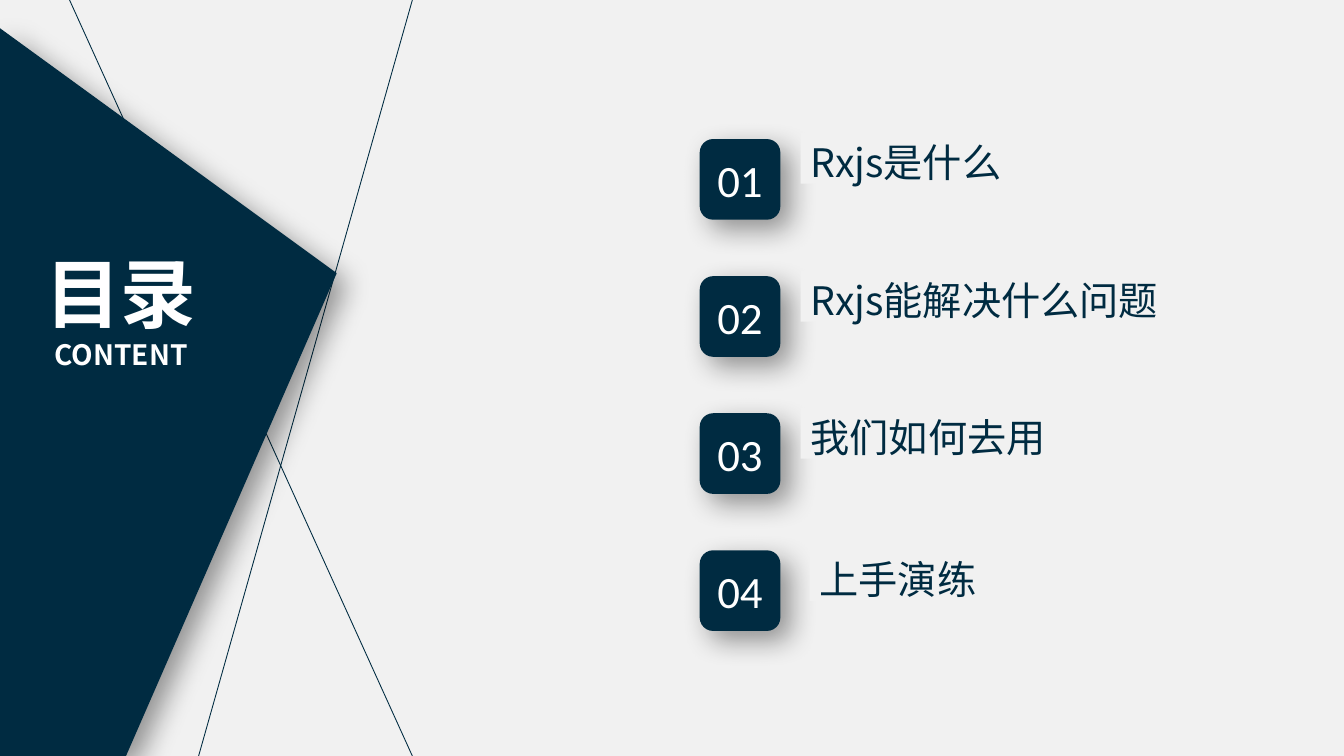
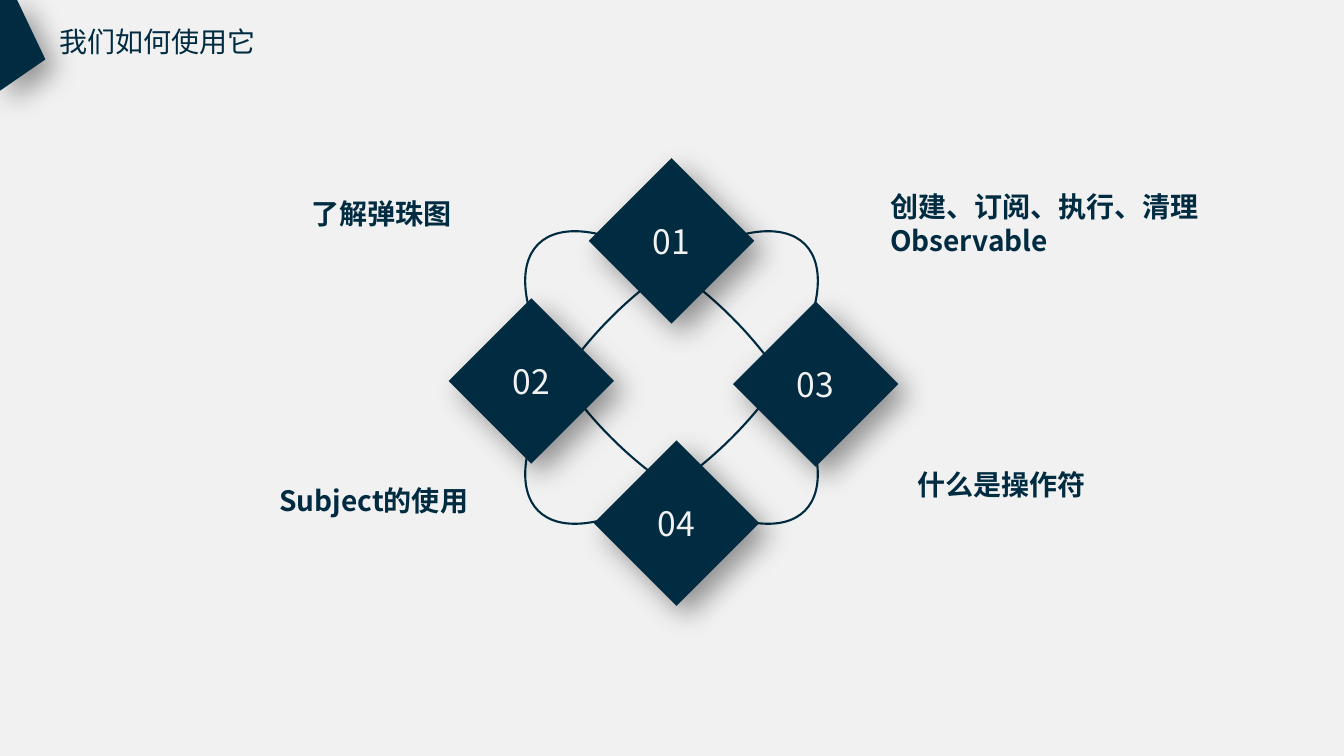
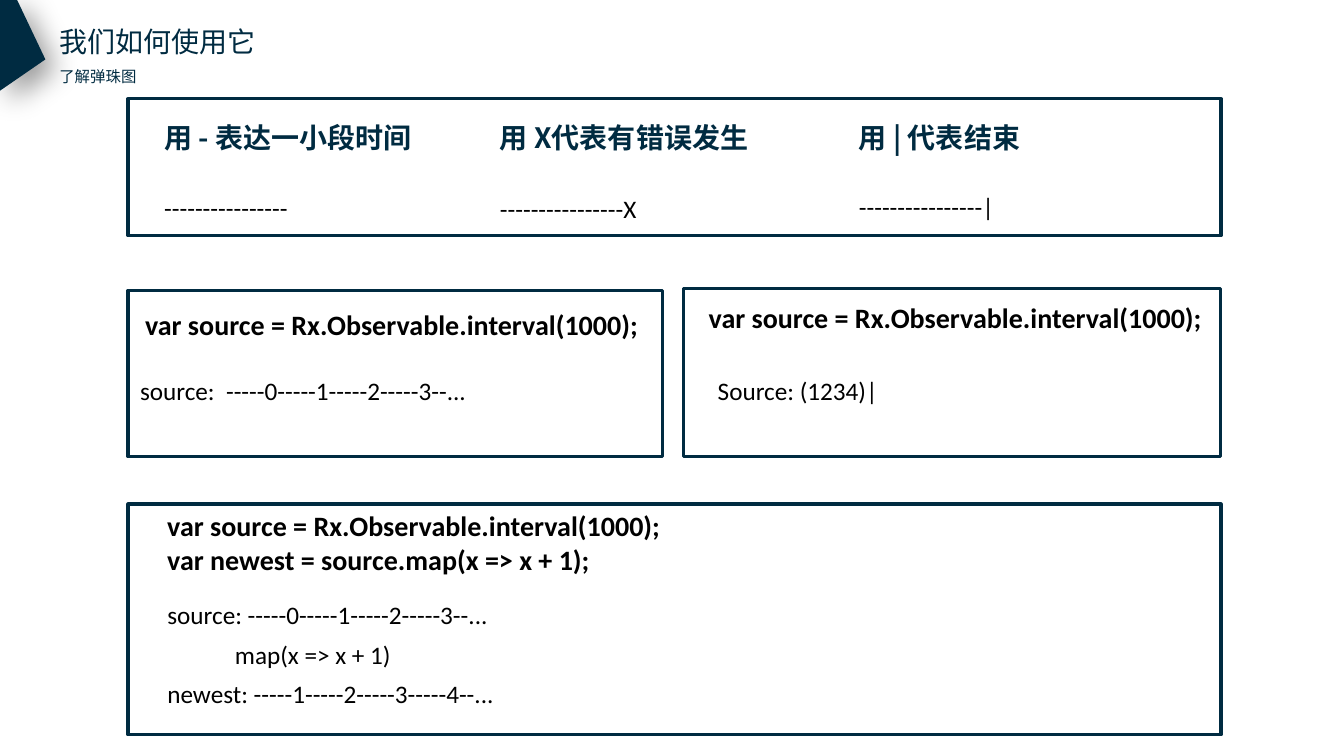
"""Build three slides of a talk on Rxjs: agenda, topic wheel and marble diagrams."""
import dataclasses
import typing

import lxml.etree
import pptx
import pptx.dml.color
import pptx.enum.shapes
import pptx.enum.text
import pptx.oxml.ns
import pptx.util

Inches = pptx.util.Inches
Kind = pptx.enum.shapes.MSO_SHAPE
Align = pptx.enum.text.PP_ALIGN
Anchor = pptx.enum.text.MSO_ANCHOR
Fit = pptx.enum.text.MSO_AUTO_SIZE
qn = pptx.oxml.ns.qn

NAVY, PALE, WHITE, BLACK = "002B41", "F1F1F1", "FFFFFF", "000000"
HAN, LATIN = "Noto Sans CJK SC", "Calibri"
AGENDA, TRACE = 4, 1


@dataclasses.dataclass(frozen=True)
class Style:
    """Look of a piece of text."""
    size: float
    font: str = HAN
    color: str = NAVY
    bold: bool = False
    align: Align = Align.LEFT
    lead: float = 1.0
    anchor: Anchor = Anchor.TOP


@dataclasses.dataclass(frozen=True)
class Box:
    """Place of a shape in inches."""
    left: float
    top: float
    width: float
    height: float

    def size(self) -> tuple:
        """Return the four lengths."""
        return tuple(Inches(v) for v in dataclasses.astuple(self))


@dataclasses.dataclass(frozen=True)
class Label:
    """A text with its place and look."""
    text: str
    box: Box
    style: Style


HEAD = Style(20)
COVER = Style(54, color=WHITE, bold=True, align=Align.CENTER)
ITEM = Style(28)
BADGE = Style(32, LATIN, WHITE, align=Align.CENTER, anchor=Anchor.MIDDLE)
GEM = Style(24, color="F2F2F2", align=Align.CENTER, anchor=Anchor.MIDDLE)
TOPIC = Style(20, bold=True)
RIGHT = dataclasses.replace(TOPIC, align=Align.RIGHT)
NOTE = Style(11, lead=1.3)
CODE = Style(20, LATIN, BLACK, bold=True)
MARBLE = Style(18, LATIN, BLACK, lead=1.3)


def tint(color: str) -> pptx.dml.color.RGBColor:
    """Turn a hex string into a colour."""
    return pptx.dml.color.RGBColor.from_string(color)


def write(shape: typing.Any, text: str, style: Style) -> None:
    """Put styled text into a shape."""
    frame = shape.text_frame
    frame.text = text
    frame.word_wrap = True
    frame.vertical_anchor = style.anchor
    for par in frame.paragraphs:
        par.alignment = style.align
        par.line_spacing = style.lead
        par.space_before = par.space_after = pptx.util.Pt(0)
        props = par._p.get_or_add_pPr()
        props.set("marL", "0")
        props.set("indent", "0")
        lxml.etree.SubElement(props, qn("a:buNone"))
        for run in par.runs:
            run.font.size = pptx.util.Pt(style.size)
            run.font.bold = style.bold
            run.font.color.rgb = tint(style.color)
            run.font.name = style.font
            east = lxml.etree.Element(qn("a:ea"), typeface=style.font)
            run._r.rPr.find(qn("a:latin")).addnext(east)


def place(holder: typing.Any, label: Label) -> typing.Any:
    """Move a placeholder to the front, set its place and fill in its text."""
    holder.element.getparent().append(holder.element)
    holder.left, holder.top, holder.width, holder.height = label.box.size()
    write(holder, label.text, label.style)
    holder.text_frame.auto_size = Fit.SHAPE_TO_FIT_TEXT
    return holder


def add_text(slide: typing.Any, label: Label) -> None:
    """Add a text box."""
    area = slide.shapes.add_textbox(*label.box.size())
    write(area, label.text, label.style)
    area.text_frame.auto_size = Fit.SHAPE_TO_FIT_TEXT


def shade(shape: typing.Any) -> None:
    """Paint a shape navy with a soft shadow and no line."""
    shape.fill.solid()
    shape.fill.fore_color.rgb = tint(NAVY)
    shape.line.fill.background()
    shape.shadow.inherit = False
    effects = shape.element.spPr.find(qn("a:effectLst"))
    outer = lxml.etree.SubElement(
        effects, qn("a:outerShdw"), blurRad=str(pptx.util.Pt(20)),
        dist=str(pptx.util.Pt(10)), dir=str(45 * 60000), algn="tl", rotWithShape="0")
    color = lxml.etree.SubElement(outer, qn("a:srgbClr"), val=BLACK)
    lxml.etree.SubElement(color, qn("a:alpha"), val="40000")


def add_solid(slide: typing.Any, kind: Kind, box: Box, text: str, style: Style) -> None:
    """Add a shaded shape with text."""
    shape = slide.shapes.add_shape(kind, *box.size())
    shade(shape)
    write(shape, text, style)


def add_frame(slide: typing.Any, kind: Kind, box: Box, width: float, turn: float = 0) -> None:
    """Add an outline without fill."""
    shape = slide.shapes.add_shape(kind, *box.size())
    shape.rotation = turn
    shape.fill.background()
    shape.line.color.rgb = tint(NAVY)
    shape.line.width = pptx.util.Pt(width)
    shape.shadow.inherit = False


def add_wedge(slide: typing.Any, *points: tuple[float, float]) -> None:
    """Add a shaded polygon."""
    first, *rest = [(Inches(x), Inches(y)) for x, y in points]
    pen = slide.shapes.build_freeform(*first)
    pen.add_line_segments(rest, close=True)
    shade(pen.convert_to_shape())


def add_line(slide: typing.Any, *ends: float) -> None:
    """Add a thin line."""
    line = slide.shapes.add_connector(
        pptx.enum.shapes.MSO_CONNECTOR.STRAIGHT, *(Inches(v) for v in ends))
    line.line.color.rgb = tint(NAVY)
    line.line.width = pptx.util.Pt(0.63)
    lxml.etree.SubElement(line.element.spPr, qn("a:effectLst"))


def add_head(slide: typing.Any) -> None:
    """Add the page title and the corner wedge."""
    title = place(slide.shapes.title, Label("我们如何使用它", Box(0.49, 0.19, 2.17, 0.44), HEAD))
    title.text_frame.word_wrap = False
    add_wedge(slide, (0.17, 0), (0, 0), (0, 0.9), (0.45, 0.59))


def draw_list(slide: typing.Any) -> None:
    """Draw the agenda."""
    add_line(slide, 4.09, 0, 1.97, 7.5)
    add_line(slide, 4.09, 7.5, 0.69, 0)
    add_wedge(slide, (1.25, 7.5), (0, 7.5), (0, 0.28), (3.34, 2.71))
    title = place(slide.shapes.title, Label("目录\nCONTENT", Box(0.24, 2.4, 1.92, 1.35), COVER))
    title.text_frame.paragraphs[1].runs[0].font.size = pptx.util.Pt(20)
    items = [
        Label("Rxjs是什么", Box(7.94, 1.32, 3.17, 0.57), ITEM),
        Label("Rxjs能解决什么问题", Box(7.94, 2.69, 3.83, 0.57), ITEM),
        Label("我们如何去用", Box(7.94, 4.05, 3.17, 0.57), ITEM),
        Label("上手演练", Box(8.03, 5.46, 3.17, 0.57), ITEM),
    ]
    for rank, item in enumerate(items, 1):
        top = 1.38 + 1.36 * (rank - 1)
        add_solid(slide, Kind.ROUNDED_RECTANGLE, Box(6.94, top, 0.8, 0.8), f"{rank:02}", BADGE)
        body = place(slide.placeholders[rank], item)
        body.fill.solid()
        body.fill.fore_color.rgb = tint(PALE)


def draw_wheel(slide: typing.Any) -> None:
    """Draw the four topics around two crossed rings."""
    add_head(slide)
    for turn in (45, 135):
        add_frame(slide, Kind.OVAL, Box(4.79, 2.9, 3.74, 1.69), 1.5, turn)
    gems = {"01": (5.84, 1.57), "03": (7.27, 2.99), "04": (5.89, 4.37), "02": (4.45, 2.96)}
    for text, (left, top) in gems.items():
        add_solid(slide, Kind.FLOWCHART_DECISION, Box(left, top, 1.64, 1.64), text, GEM)
    topics = [
        Label("了解弹珠图", Box(2.84, 1.9, 1.74, 0.44), RIGHT),
        Label("创建、订阅、执行、清理Observable", Box(8.73, 1.83, 3.33, 0.77), TOPIC),
        Label("Subject的使用", Box(2.67, 4.75, 2.47, 0.44), TOPIC),
        Label("什么是操作符", Box(9, 4.59, 2.16, 0.44), TOPIC),
    ]
    for rank, topic in enumerate(topics, 1):
        place(slide.placeholders[rank], topic)


def draw_code(slide: typing.Any) -> None:
    """Draw the marble diagrams."""
    add_head(slide)
    for box in (Box(1.27, 0.98, 10.84, 1.36), Box(1.27, 2.88, 5.3, 1.65),
                Box(6.78, 2.86, 5.33, 1.67), Box(1.27, 5, 10.84, 2.29)):
        add_frame(slide, Kind.RECTANGLE, box, 2.25)
    dashes = "-" * 16
    signs = [
        (1.53, 1.77, "用 - 表达一小段时间", dashes),
        (4.86, 1.78, "用 X代表有错误发生", dashes + "X"),
        (8.42, 1.76, "用 | 代表结束", dashes + "|"),
    ]
    for left, top, text, marks in signs:
        add_text(slide, Label(text, Box(left, 1.15, 2.8, 0.44), TOPIC))
        add_text(slide, Label(marks, Box(left, top, 2.55, 0.46), MARBLE))
    source = "var source = Rx.Observable.interval(1000);"
    stream = "-----0-----1-----2-----3--..."
    for label in (
        Label("了解弹珠图", Box(0.49, 0.56, 3.06, 0.32), NOTE),
        Label(source, Box(1.34, 3, 5.14, 0.44), CODE),
        Label(source, Box(6.93, 2.93, 5.29, 0.44), CODE),
        Label(source + "\nvar newest = source.map(x => x + 1);", Box(1.56, 5, 9.03, 0.77), CODE),
        Label("source:  " + stream, Box(1.29, 3.58, 3.71, 0.49), MARBLE),
        Label("Source: (1234)|", Box(7.02, 3.58, 3.71, 0.49), MARBLE),
    ):
        add_text(slide, label)
    trace = f"source: {stream}\nmap(x => x + 1)\nnewest: -----1-----2-----3-----4--..."
    body = place(slide.placeholders[1], Label(trace, Box(1.56, 5.81, 4.92, 1.28), MARBLE))
    body.text_frame.paragraphs[1]._p.pPr.set("marL", str(Inches(0.67)))


def main() -> None:
    """Build and save the deck."""
    deck = pptx.Presentation()
    deck.slide_width, deck.slide_height = Inches(13.33), Inches(7.5)
    pages = [(AGENDA, PALE, draw_list), (AGENDA, PALE, draw_wheel), (TRACE, WHITE, draw_code)]
    for layout, ground, draw in pages:
        slide = deck.slides.add_slide(deck.slide_layouts[layout])
        slide.background.fill.solid()
        slide.background.fill.fore_color.rgb = tint(ground)
        draw(slide)
    deck.save("out.pptx")


if __name__ == "__main__":
    main()
